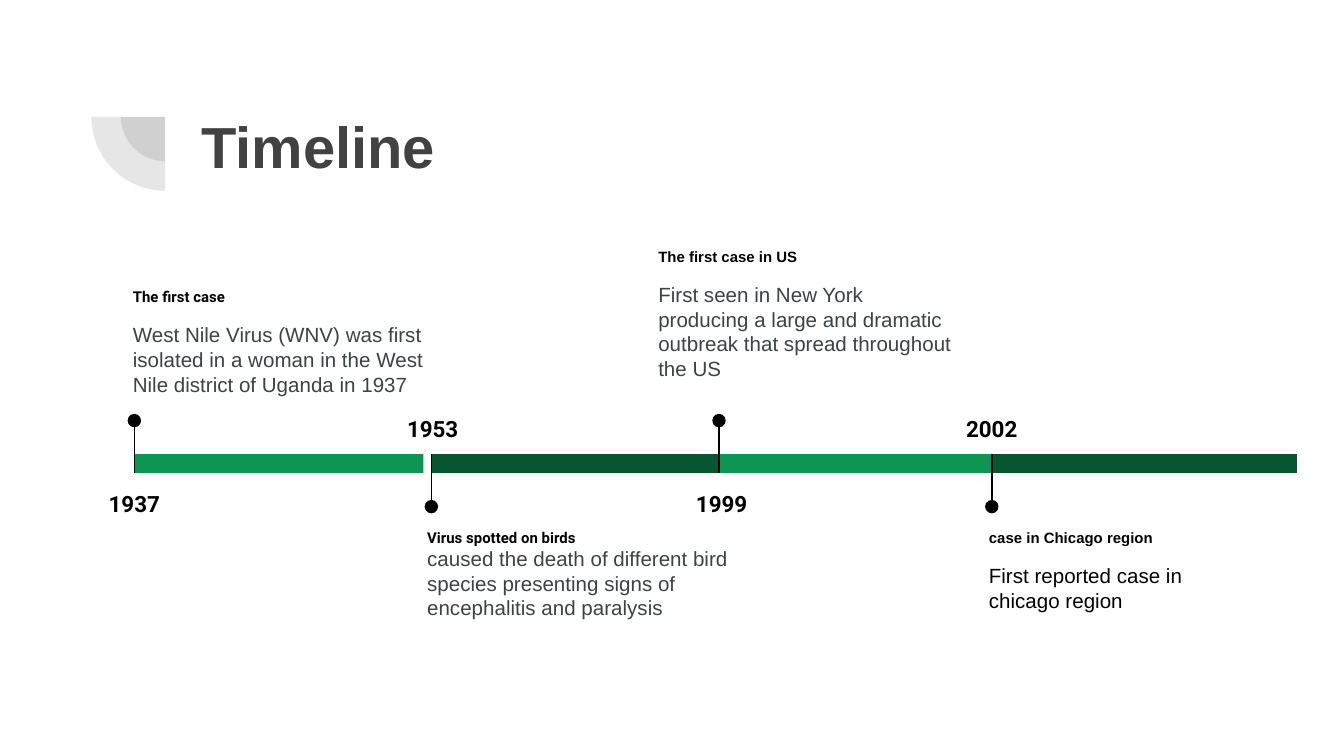
"""Build a slide with a four-step timeline of West Nile Virus cases."""
from lxml.etree import SubElement
from pptx import Presentation
from pptx.dml.color import RGBColor
from pptx.enum.shapes import MSO_CONNECTOR, MSO_SHAPE
from pptx.enum.text import MSO_ANCHOR, MSO_AUTO_SIZE, PP_ALIGN
from pptx.oxml.ns import qn
from pptx.util import Inches, Pt

BLACK = RGBColor(0x00, 0x00, 0x00)
GREY = RGBColor(0x42, 0x42, 0x42)
SLATE = RGBColor(0x3C, 0x42, 0x45)
LIGHT = RGBColor(0x0E, 0x94, 0x53)
DARK = RGBColor(0x08, 0x56, 0x31)

TITLE = "Timeline"
EVENTS = [
    dict(year="1937", x=1.0, mid=1.0, up=True, wide=2.15, fill=LIGHT,
         head="The first case", font="Roboto", gap=9, ink=SLATE,
         body="West Nile Virus (WNV) was first isolated in a woman in the West "
              "Nile district of Uganda in 1937",
         box=(0.89, 2.04, 2.46, 1.03)),
    dict(year="1953", x=3.21, mid=3.22, up=False, wide=2.14, fill=DARK,
         head="Virus spotted on birds", font="Roboto", gap=0, ink=SLATE,
         body="caused the death of different bird species presenting signs of "
              "encephalitis and paralysis",
         box=(3.08, 3.83, 2.46, 1.03)),
    dict(year="1999", x=5.35, mid=5.37, up=True, wide=2.14, fill=LIGHT,
         head="The first case in US", font="Arial", gap=9, ink=SLATE,
         body="First seen in New York producing a large and dramatic outbreak "
              "that spread throughout the US",
         box=(4.8, 1.74, 2.4, 1.17)),
    dict(year="2002", x=7.38, mid=7.38, up=False, wide=2.27, fill=DARK,
         head="case in Chicago region", font="Arial", gap=9, ink=BLACK,
         body="First reported case in chicago region",
         box=(7.26, 3.83, 2.17, 1.03)),
]
BAR_TOP, BAR_TALL = 3.38, 0.14
PIN, DOT = 0.39, 0.1
HUB = (1.23, 0.87)
RADII = [0.33, 0.55]


def set_font(para, name, size, color, bold=False):
    font = para.font
    font.name, font.size, font.bold = name, Pt(size), bold
    font.color.rgb = color


def set_frame(frame):
    frame.word_wrap = True
    frame.auto_size = MSO_AUTO_SIZE.NONE
    frame.vertical_anchor = MSO_ANCHOR.TOP
    frame.margin_left = frame.margin_right = Inches(0.1)
    frame.margin_top = frame.margin_bottom = Inches(0.1)


def add_shape(slide, kind, box, color):
    shape = slide.shapes.add_shape(kind, *map(Inches, box))
    shape.shadow.inherit = False
    shape.fill.solid()
    shape.fill.fore_color.rgb = color
    shape.line.fill.background()
    return shape


def add_text(slide, box):
    frame = slide.shapes.add_textbox(*map(Inches, box)).text_frame
    set_frame(frame)
    return frame


def add_pie(slide, radius):
    x, y = HUB
    pie = add_shape(slide, MSO_SHAPE.PIE,
                    (x - radius, y - radius, 2 * radius, 2 * radius), GREY)
    pie.adjustments[0], pie.adjustments[1] = 54, 108
    tint = pie._element.spPr.find(".//" + qn("a:srgbClr"))
    SubElement(tint, qn("a:alpha"), val="13000")


def add_title(slide):
    title = slide.shapes.title
    title.left, title.top = Inches(1.4), Inches(0.72)
    title.width, title.height = Inches(7.68), Inches(4.36)
    frame = title.text_frame
    frame.text = TITLE
    set_frame(frame)
    para = frame.paragraphs[0]
    para.alignment = PP_ALIGN.LEFT
    set_font(para, "Arial", 31, GREY, True)


def add_event(slide, event):
    x, up = event["x"], event["up"]
    add_shape(slide, MSO_SHAPE.RECTANGLE,
              (x, BAR_TOP, event["wide"], BAR_TALL), event["fill"])

    base = BAR_TOP + BAR_TALL if up else BAR_TOP
    tip = base - PIN if up else base + PIN
    line = slide.shapes.add_connector(
        MSO_CONNECTOR.STRAIGHT, *map(Inches, (x, tip, x, base)))
    line.line.color.rgb = BLACK
    line.line.width = Pt(0.75)
    SubElement(line._element.spPr, qn("a:effectLst"))
    add_shape(slide, MSO_SHAPE.OVAL,
              (x - DOT / 2, tip - DOT / 2, DOT, DOT), BLACK)

    year = add_text(slide, (event["mid"] - 0.45, 3.52 if up else 2.96, 0.9, 0.41))
    year.text = event["year"]
    para = year.paragraphs[0]
    para.alignment = PP_ALIGN.CENTER
    para.line_spacing = 1.15
    set_font(para, "Roboto", 12, BLACK, True)

    note = add_text(slide, event["box"])
    note.text = event["head"] + "\n" + event["body"]
    head, body = note.paragraphs
    head.space_after = Pt(event["gap"])
    set_font(head, event["font"], 8, BLACK, True)
    set_font(body, "Arial", 11, event["ink"])


def main():
    deck = Presentation()
    deck.slide_width = Inches(10)
    deck.slide_height = deck.slide_width * 9 // 16
    slide = deck.slides.add_slide(deck.slide_layouts[5])
    for radius in RADII:
        add_pie(slide, radius)
    add_title(slide)
    for event in EVENTS:
        add_event(slide, event)
    deck.save("out.pptx")


if __name__ == "__main__":
    main()
